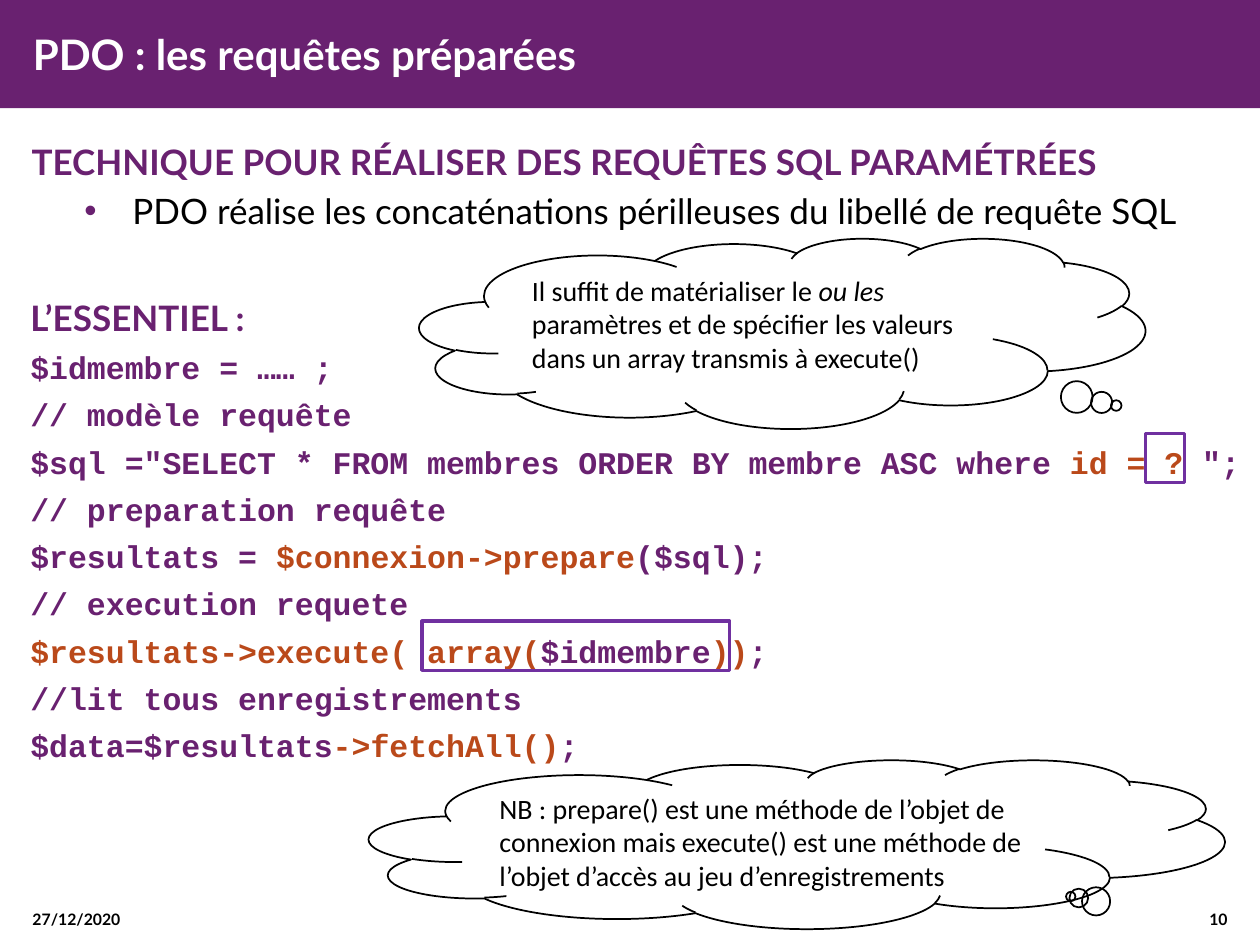
from lxml.etree import SubElement
from pptx import Presentation
from pptx.dml.color import RGBColor
from pptx.enum.shapes import MSO_SHAPE
from pptx.enum.text import MSO_ANCHOR, MSO_AUTO_SIZE, PP_ALIGN
from pptx.oxml.ns import qn
from pptx.util import Inches, Pt

WIDTH, HEIGHT = 10, 7.5
BAND_HEIGHT = 0.86
PURPLE, ORANGE, FRAME, BLACK, WHITE = "692170", "BA491A", "7030A0", "000000", "FFFFFF"
CODE_LINES = [
    [("$idmembre = …… ;", PURPLE)],
    [("// modèle requête", PURPLE)],
    [('$sql ="SELECT * FROM membres ORDER BY membre ASC where ', PURPLE),
     ("id = ? ", ORANGE), ('";', PURPLE)],
    [("// preparation requête ", PURPLE)],
    [("$resultats = ", PURPLE), ("$connexion->prepare", ORANGE), ("($sql);", PURPLE)],
    [("// execution requete", PURPLE)],
    [("$resultats->execute( array(", ORANGE), ("$idmembre", PURPLE),
     ("))", ORANGE), (";", PURPLE)],
    [("//lit tous enregistrements", PURPLE)],
    [("$data=$resultats", PURPLE), ("->fetchAll()", ORANGE), (";", PURPLE)],
]


def color(value):
    """Turn a hex string into a colour."""
    return RGBColor.from_string(value)


def place(shape, left, top, width, height):
    """Move and size a shape, in inches."""
    shape.left, shape.top = Inches(left), Inches(top)
    shape.width, shape.height = Inches(width), Inches(height)


def style(font, name, size, ink, bold=False):
    """Set the face, size, colour and weight of a font."""
    font.name, font.size, font.bold = name, Pt(size), bold
    font.color.rgb = color(ink)


def set_bullet(paragraph, left, hanging, mark=None):
    """Set the indents of a paragraph and its bullet, if any."""
    properties = paragraph._p.get_or_add_pPr()
    properties.set("marL", str(Inches(left)))
    properties.set("indent", str(Inches(hanging)))
    if mark is None:
        SubElement(properties, qn("a:buNone"))
        return
    SubElement(SubElement(properties, qn("a:buClr")), qn("a:srgbClr")).set("val", PURPLE)
    SubElement(properties, qn("a:buFont")).set("typeface", "Arial")
    SubElement(properties, qn("a:buChar")).set("char", mark)


def add_line(frame, spans, name, size, indents, before=0, spacing=Pt(27), bold=True,
             level=0, mark=None):
    """Add one paragraph of coloured spans to a text frame."""
    used = bool(frame.paragraphs[0].runs)
    paragraph = frame.add_paragraph() if used else frame.paragraphs[0]
    paragraph.level = level
    set_bullet(paragraph, *indents, mark)
    paragraph.line_spacing, paragraph.space_before = spacing, Pt(before)
    ink = spans[0][1]
    style(paragraph.font, name, size, ink, bold)
    for text, span_ink in spans:
        span = paragraph.add_run()
        span.text = text
        if span_ink != ink:
            span.font.color.rgb = color(span_ink)


def add_outline(slide, kind, bounds, ink, weight):
    """Add an unfilled preset shape with a coloured outline."""
    shape = slide.shapes.add_shape(kind, *map(Inches, bounds))
    shape.shadow.inherit = False
    shape.fill.background()
    shape.line.color.rgb = color(ink)
    shape.line.width = Pt(weight)
    return shape


def add_cloud(slide, bounds, tail, spans):
    """Add a thought cloud whose spans are text and italic pairs."""
    cloud = add_outline(slide, MSO_SHAPE.CLOUD_CALLOUT, bounds, BLACK, 1)
    cloud.adjustments[0], cloud.adjustments[1] = tail
    frame = cloud.text_frame
    frame.word_wrap, frame.vertical_anchor = True, MSO_ANCHOR.TOP
    paragraph = frame.paragraphs[0]
    paragraph.alignment = PP_ALIGN.LEFT
    style(paragraph.font, "Calibri", 16, BLACK)
    for text, italic in spans:
        span = paragraph.add_run()
        span.text, span.font.italic = text, italic


def add_footer(slide, left, width, text, alignment):
    """Add a small bold text at the foot of the slide."""
    box = slide.shapes.add_textbox(*map(Inches, (left, 7.02, width, 0.4)))
    frame = box.text_frame
    frame.word_wrap, frame.vertical_anchor = True, MSO_ANCHOR.BOTTOM
    paragraph = frame.paragraphs[0]
    paragraph.text, paragraph.alignment = text, alignment
    style(paragraph.font, "Lato", 9, BLACK, True)


def fill_title(slide, text):
    """Write the title over a full-width band."""
    title = slide.shapes.title
    band = slide.shapes.add_shape(MSO_SHAPE.RECTANGLE, 0, 0, Inches(WIDTH), Inches(BAND_HEIGHT))
    band.shadow.inherit = False
    band.fill.solid()
    band.fill.fore_color.rgb = color(PURPLE)
    band.line.fill.background()
    title.element.addprevious(band.element)
    place(title, 0.02, 0, 8.91, BAND_HEIGHT)
    frame = title.text_frame
    frame.auto_size = MSO_AUTO_SIZE.NONE
    frame.margin_left, frame.vertical_anchor = Inches(0.24), MSO_ANCHOR.MIDDLE
    paragraph = frame.paragraphs[0]
    paragraph.text, paragraph.alignment = text, PP_ALIGN.LEFT
    style(paragraph.font, "Lato", 24, WHITE, True)


def fill_body(slide):
    """Write the headings, the bullet and the code listing."""
    body = slide.placeholders[1]
    place(body, 0.12, 1.02, 9.88, 5.88)
    frame = body.text_frame
    frame.auto_size, frame.vertical_anchor = MSO_AUTO_SIZE.NONE, MSO_ANCHOR.TOP
    add_line(frame, [("TECHNIQUE POUR RÉALISER DES REQUÊTES SQL PARAMÉTRÉES ", PURPLE)],
             "Lato", 20, (0.38, -0.35), before=6)
    add_line(frame, [("PDO réalise les concaténations périlleuses du libellé de requête SQL", BLACK)],
             "Lato", 20, (0.83, -0.38), before=4, spacing=1.0, bold=False, level=1, mark="•")
    add_line(frame, [("L’ESSENTIEL :", PURPLE)], "Lato", 20, (0.02, 0), before=34.4)
    for spans in CODE_LINES:
        add_line(frame, spans, "Courier New", 18, (0.02, 0))


def main():
    """Build the slide and save it."""
    deck = Presentation()
    deck.slide_width, deck.slide_height = Inches(WIDTH), Inches(HEIGHT)
    slide = deck.slides.add_slide(deck.slide_layouts[1])
    fill_title(slide, "PDO : les requêtes préparées")
    fill_body(slide)
    add_footer(slide, 0.16, 1.17, "27/12/2020", PP_ALIGN.LEFT)
    add_footer(slide, 6.65, 3.19, "10", PP_ALIGN.RIGHT)
    for bounds in ((9.09, 3.44, 0.31, 0.39), (3.35, 4.93, 2.44, 0.39)):
        add_outline(slide, MSO_SHAPE.RECTANGLE, bounds, FRAME, 2)
    add_cloud(slide, (3.33, 1.89, 5.76, 1.51), (0.46, 0.38), [
        ("Il suffit de matérialiser le ", False),
        ("ou les ", True),
        ("paramètres et de spécifier les valeurs dans un array transmis à execute()", False),
    ])
    add_cloud(slide, (2.93, 6.03, 6.79, 1.34), (0.32, 0.31), [
        ("NB : prepare() est une méthode de l’objet de connexion mais execute() est une "
         "méthode de l’objet d’accès au jeu d’enregistrements", False),
    ])
    deck.save("out.pptx")


main()
